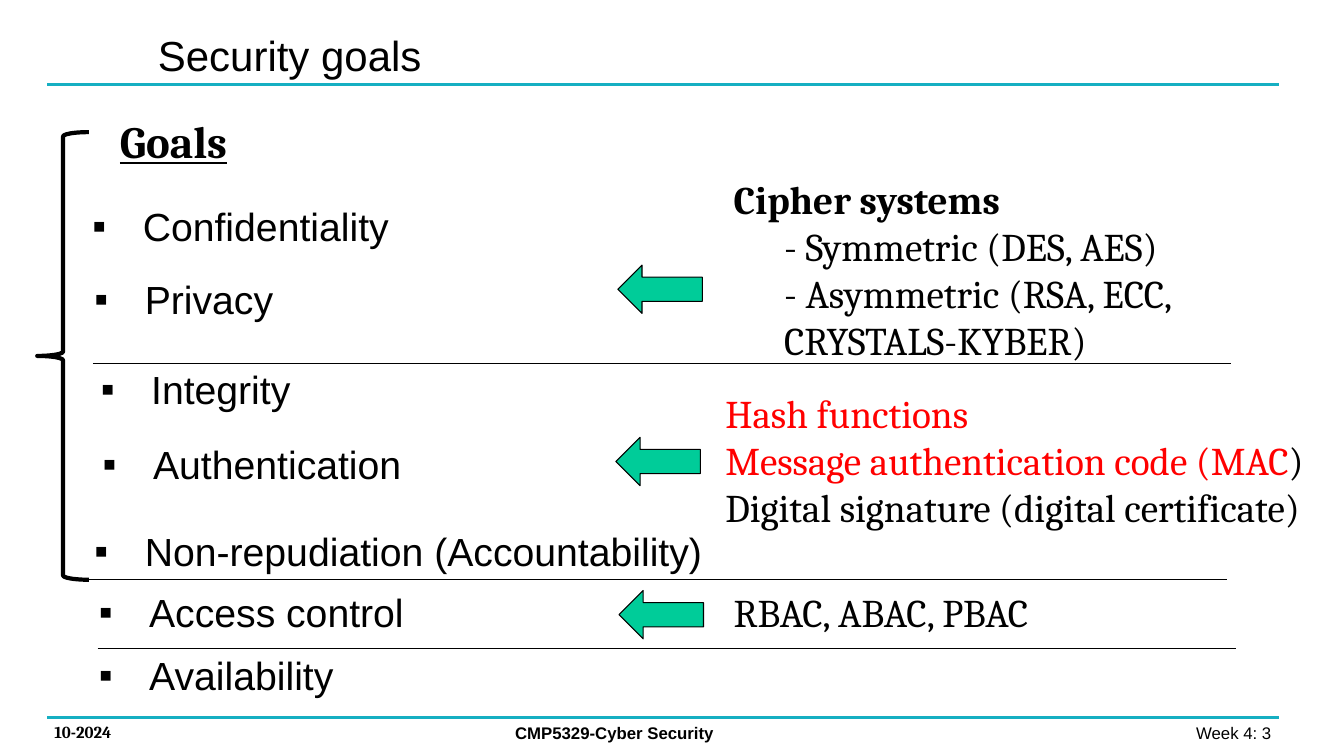
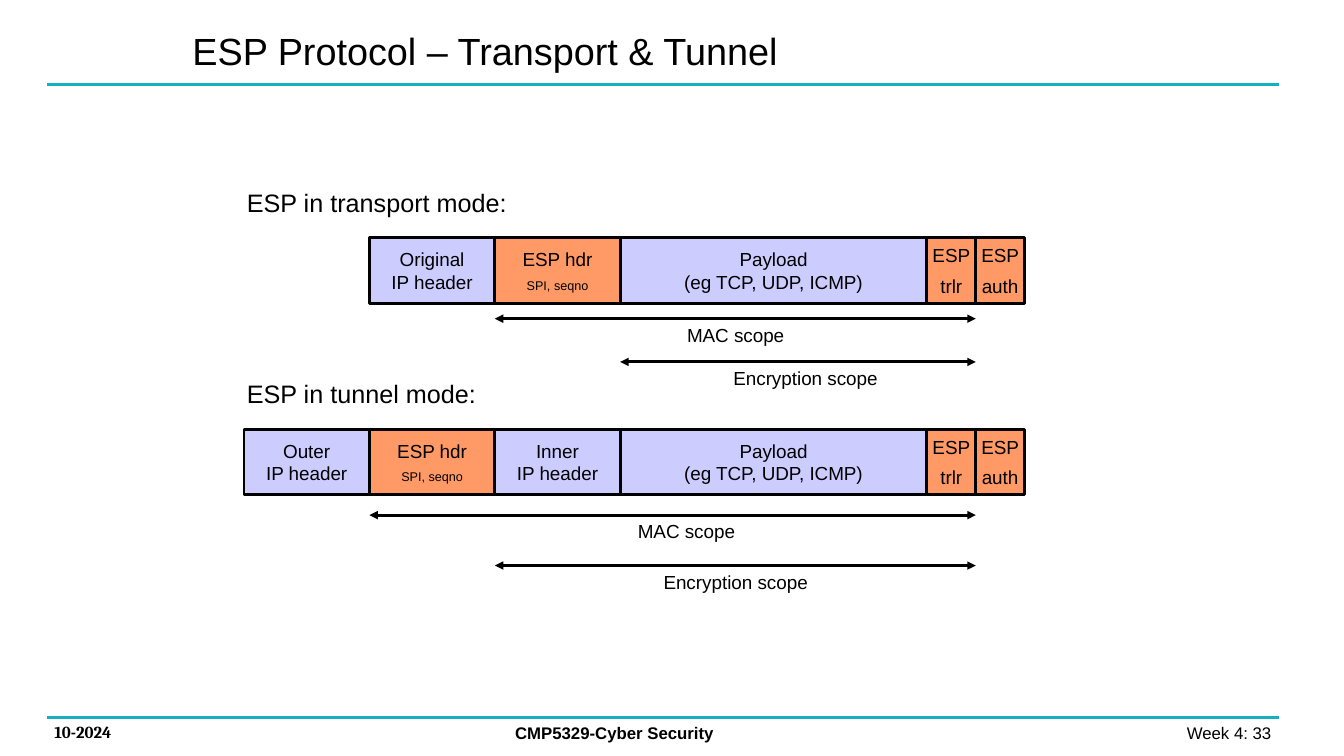
from itertools import accumulate

from lxml.etree import SubElement
from pptx import Presentation
from pptx.dml.color import RGBColor
from pptx.enum.shapes import MSO_CONNECTOR, MSO_SHAPE
from pptx.enum.text import MSO_ANCHOR, MSO_AUTO_SIZE, PP_ALIGN
from pptx.oxml.ns import qn
from pptx.util import Cm, Pt

BLACK = RGBColor(0x00, 0x00, 0x00)
RED = RGBColor(0xFF, 0x00, 0x00)
TEAL = RGBColor(0x16, 0xAF, 0xC2)
GREEN = RGBColor(0x00, 0xCC, 0x99)
ORANGE = RGBColor(0xFF, 0x99, 0x66)
LAVENDER = RGBColor(0xCC, 0xCC, 0xFF)

# Text formats
TITLE = {"name": "Arial", "size": Pt(30)}
SMALL_TITLE = {"name": "Arial", "size": Pt(27)}
FOOTER = {"name": "Arial", "size": Pt(12)}
GOAL = {"name": "Arial", "size": Pt(28)}
METHOD = {"name": "Cambria", "size": Pt(28)}
GOALS_HEADING = {"name": "Cambria", "size": Pt(32), "bold": True, "underline": True}
MODE = {"name": "Arial", "size": Pt(18)}
CELL = {"name": "Arial", "size": Pt(13.5)}

# Shared frame, all lengths in centimetres
RULE_LEFT, RULE_RIGHT = 1.19, 32.23
RULE_TOPS = (2.13, 18.08)
DATE_FORMAT = FOOTER | {"name": "Cambria", "bold": True}
COURSE_FORMAT = FOOTER | {"bold": True}
FOOTERS = [
    ("10-2024", (1.12, 18.06, 4.52, 0.76), DATE_FORMAT),
    ("CMP5329-Cyber Security", (12.73, 18.08, 10.39, 0.76), COURSE_FORMAT),
]
WEEK_BOX = (24.94, 18.08, 7.47, 0.76)

# Security goals: text, left, top, width
GOALS = [
    ("Confidentiality", 2.08, 4.98, 8.1),
    ("Privacy", 2.13, 6.81, 5.1),
    ("Integrity", 2.29, 9.09, 5.4),
    ("Authentication", 2.34, 10.97, 8.15),
    ("Non-repudiation (Accountability)", 2.13, 13.16, 16.1),
    ("Access control", 2.24, 14.71, 8.3),
    ("Availability", 2.24, 16.28, 6.5),
]
GOAL_HEIGHT = 1.45
INDENT = 1.27
SUBITEM = {"margin": INDENT}
METHODS = [
    ((18.24, 4.29, 15.11, 5.05), [
        {"runs": [("Cipher systems", {"bold": True})]},
        {"runs": [("- Symmetric (DES, AES)", {})]} | SUBITEM,
        {"runs": [("- Asymmetric (RSA, ECC, CRYSTALS-KYBER)", {})]} | SUBITEM,
    ]),
    ((18.03, 9.68, 16.08, 3.84), [
        {"runs": [("Hash functions", {"color": RED})]},
        {"runs": [("Message authentication code (MAC", {"color": RED}), (")", {})]},
        {"runs": [("Digital signature (digital certificate)", {})]},
    ]),
    ((18.24, 14.71, 9.55, 1.45), [{"runs": [("RBAC, ABAC, PBAC", {})]}]),
]
METHOD_ARROWS = [(15.57, 6.68), (15.52, 11.02), (15.6, 14.88)]
METHOD_ARROW_SIZE = (2.13, 1.22)
SEPARATORS = [(2.34, 9.17), (2.24, 14.61), (2.46, 16.33)]
SEPARATOR_LENGTH = 28.68
BRACE_BOX = (0.94, 3.33, 1.3, 11.28)

# ESP packets
CELL_WIDTHS = [3.16, 3.16, 3.16, 7.73, 1.23, 1.23]
CELL_LEFTS = list(accumulate(CELL_WIDTHS[:-1], initial=6.15))
CELL_HEIGHT = 1.65
AUTH_COLUMN = 5
LABEL_SIZE = (10.72, 0.84)


def header(kind):
    return LAVENDER, [{"runs": [(kind, {})]}, {"runs": [("IP header", {})]}]


def trailer(kind):
    return ORANGE, [{"runs": [("ESP", {})]}, {"runs": [(kind, {})], "space": 5.5}]


ESP_HEADER = (ORANGE, [{"runs": [("ESP hdr", {})]},
                       {"runs": [("SPI, seqno", {"size": Pt(9)})], "space": 5}])
PAYLOAD = (LAVENDER, [{"runs": [("Payload", {})]},
                      {"runs": [("(eg TCP, UDP, ICMP)", {})]}])
PACKET_END = [PAYLOAD, trailer("trlr"), trailer("auth")]

# Scopes: text, first column covered, top, left of the label
MODES = [
    {"heading": "ESP in transport mode:", "top": 5.99, "first_column": 1,
     "cells": [header("Original"), ESP_HEADER] + PACKET_END,
     "scopes": [("MAC scope", 2, 8.03, 13.18),
                ("Encryption scope", 3, 9.12, 14.94)]},
    {"heading": "ESP in tunnel mode:", "top": 10.82, "first_column": 0,
     "cells": [header("Outer"), ESP_HEADER, header("Inner")] + PACKET_END,
     "scopes": [("MAC scope", 1, 12.98, 11.94),
                ("Encryption scope", 2, 14.25, 13.18)]},
]


def write(frame, lines, style, align=PP_ALIGN.LEFT):
    """Fill a text frame; a line is a string or a dict of runs, margin and space."""
    for index, line in enumerate(lines):
        if isinstance(line, str):
            line = {"runs": [(line, {})]}
        paragraph = frame.paragraphs[0] if index == 0 else frame.add_paragraph()
        paragraph.alignment = align
        if "space" in line:
            paragraph.space_before = Pt(line["space"])
        if "margin" in line:
            paragraph._p.get_or_add_pPr().set("marL", str(Cm(line["margin"])))
        for text, changes in line["runs"]:
            run = paragraph.add_run()
            run.text = text
            values = style | changes
            run.font.color.rgb = values.pop("color", BLACK)
            for attribute, value in values.items():
                setattr(run.font, attribute, value)


def add_text(shapes, box, lines, style, align=PP_ALIGN.LEFT):
    text_box = shapes.add_textbox(*map(Cm, box))
    frame = text_box.text_frame
    frame.word_wrap = True
    frame.auto_size = MSO_AUTO_SIZE.SHAPE_TO_FIT_TEXT
    write(frame, lines, style, align)
    return frame


def add_line(shapes, left, right, top, color, width, arrows=False):
    line = shapes.add_connector(MSO_CONNECTOR.STRAIGHT, Cm(left), Cm(top), Cm(right), Cm(top))
    line.line.color.rgb = color
    line.line.width = Pt(width)
    properties = line.element.spPr
    if arrows:
        for end in ("a:headEnd", "a:tailEnd"):
            SubElement(properties.find(qn("a:ln")), qn(end), type="triangle")
    SubElement(properties, qn("a:effectLst"))


def add_shape(shapes, kind, box, fill, width):
    shape = shapes.add_shape(kind, *map(Cm, box))
    shape.shadow.inherit = False
    if fill is None:
        shape.fill.background()
    else:
        shape.fill.solid()
        shape.fill.fore_color.rgb = fill
    shape.line.color.rgb = BLACK
    shape.line.width = Pt(width)
    return shape


def add_bullet(paragraph):
    properties = paragraph._p.get_or_add_pPr()
    properties.set("marL", str(Cm(INDENT)))
    properties.set("indent", str(-Cm(INDENT)))
    SubElement(properties, qn("a:buFont"), typeface="Arial")
    SubElement(properties, qn("a:buChar"), char="▪")


def add_slide(presentation, title, title_box, title_style, number):
    """Add a slide with the shared rules, footers and title; return its shapes."""
    shapes = presentation.slides.add_slide(presentation.slide_layouts[6]).shapes
    for top in RULE_TOPS:
        add_line(shapes, RULE_LEFT, RULE_RIGHT, top, TEAL, 2.25)
    for text, box, style in FOOTERS:
        add_text(shapes, box, [text], style)
    add_text(shapes, WEEK_BOX, [f"Week 4: {number} "], FOOTER, PP_ALIGN.RIGHT)
    frame = add_text(shapes, title_box, [title], title_style)
    frame.auto_size = MSO_AUTO_SIZE.NONE
    frame.vertical_anchor = MSO_ANCHOR.MIDDLE
    return shapes


def build_goals(presentation):
    shapes = add_slide(presentation, "Security goals", (3.73, 0.28, 18.49, 2.21), TITLE, 3)
    add_text(shapes, (2.77, 2.74, 3.3, 1.63), ["Goals"], GOALS_HEADING)
    for text, left, top, width in GOALS:
        frame = add_text(shapes, (left, top, width, GOAL_HEIGHT), [text], GOAL)
        add_bullet(frame.paragraphs[0])
    for box, lines in METHODS:
        add_text(shapes, box, lines, METHOD)
    for position in METHOD_ARROWS:
        add_shape(shapes, MSO_SHAPE.LEFT_ARROW, position + METHOD_ARROW_SIZE, GREEN, 0.75)
    for left, top in SEPARATORS:
        add_line(shapes, left, left + SEPARATOR_LENGTH, top, BLACK, 0.75)
    add_shape(shapes, MSO_SHAPE.LEFT_BRACE, BRACE_BOX, None, 3)


def add_mode(shapes, mode):
    """Draw one packet with its heading and the scopes below it."""
    top, first = mode["top"], mode["first_column"]
    add_text(shapes, (5.97, top - 1.4, 9.14, 1.02), [mode["heading"]], MODE)
    for column, (fill, lines) in enumerate(mode["cells"], first):
        box = (CELL_LEFTS[column], top, CELL_WIDTHS[column], CELL_HEIGHT)
        frame = add_shape(shapes, MSO_SHAPE.RECTANGLE, box, fill, 2).text_frame
        frame.word_wrap = False
        frame.vertical_anchor = MSO_ANCHOR.MIDDLE
        write(frame, lines, CELL, PP_ALIGN.CENTER)
    for text, column, scope_top, label_left in mode["scopes"]:
        add_line(shapes, CELL_LEFTS[column], CELL_LEFTS[AUTH_COLUMN], scope_top,
                 BLACK, 2, arrows=True)
        add_text(shapes, (label_left, scope_top) + LABEL_SIZE, [text], CELL, PP_ALIGN.CENTER)


def build_esp(presentation):
    shapes = add_slide(presentation, "ESP Protocol – Transport & Tunnel",
                       (4.6, 0.36, 15.44, 1.8), SMALL_TITLE, 33)
    for mode in MODES:
        add_mode(shapes.add_group_shape().shapes, mode)


def main():
    presentation = Presentation()
    presentation.slide_width = Cm(33.87)
    presentation.slide_height = Cm(19.05)
    build_goals(presentation)
    build_esp(presentation)
    presentation.save("out.pptx")


if __name__ == "__main__":
    main()
